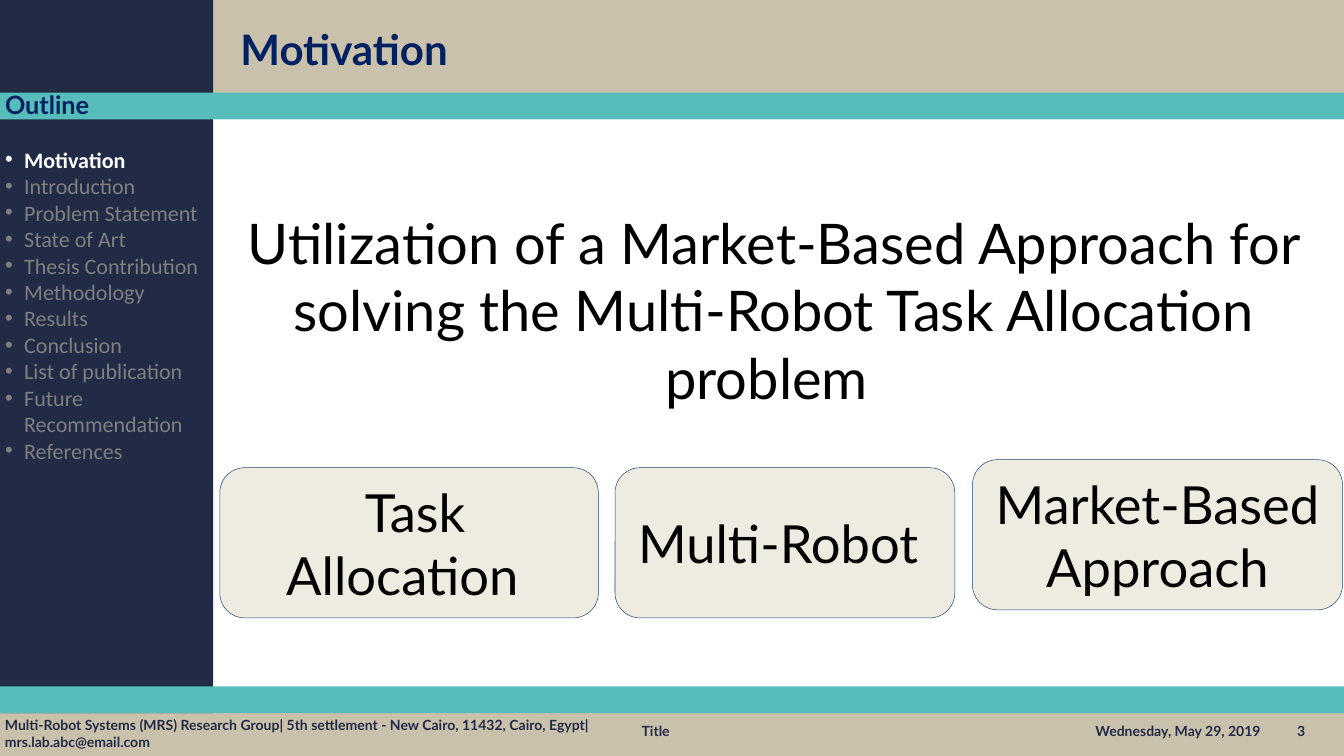
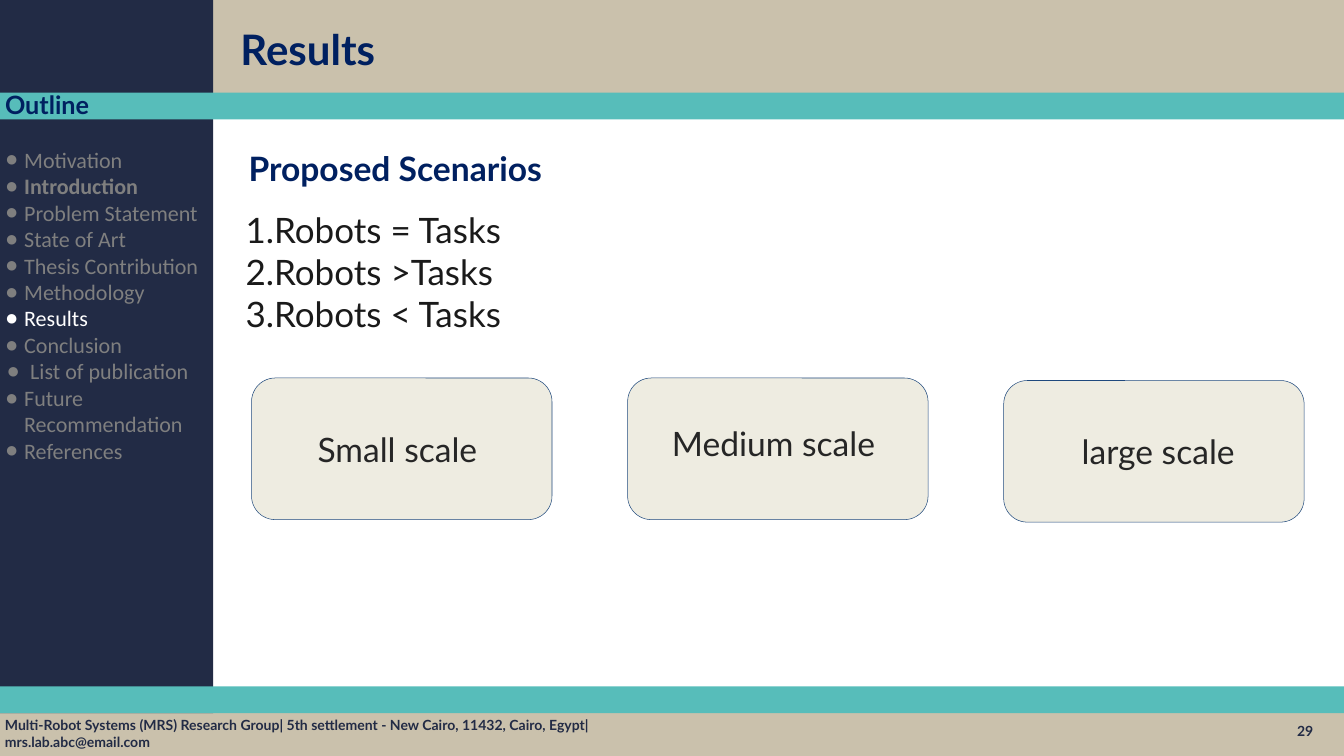
from lxml.etree import SubElement
from pptx import Presentation
from pptx.dml.color import RGBColor
from pptx.enum.shapes import MSO_SHAPE
from pptx.enum.text import MSO_ANCHOR, MSO_AUTO_SIZE, PP_ALIGN
from pptx.oxml.ns import qn
from pptx.util import Pt

W, H = 1919.52, 1080
SIDE_W = 304.56
FOOTER_Y = 1015.2
rgb = RGBColor.from_string
NAVY, SAND, TEAL, BLUE = "222B45", "CAC1AC", "57BDBA", "002060"
CARD, CARD_LINE, GREY, WHITE = "EEECE1", "1F497D", "7F7F7F", "FFFFFF"

TITLE = dict(size=60, color=BLUE, bold=True)
HEADING = dict(size=36, color=BLUE, bold=True)
SUBTITLE = dict(size=48, color=BLUE, bold=True)
FOOTER = dict(size=20, color=NAVY, bold=True)
OUTLINE = dict(size=31.5, color=GREY, bold=False, name="Calibri")

SECTIONS = ["Motivation", "Introduction", "Problem Statement", "State of Art",
            "Thesis Contribution", "Methodology", "Results", "Conclusion",
            "List of publication", "Future Recommendation", "References"]


def write(sp, lines, fmt, align=PP_ALIGN.LEFT, anchor=MSO_ANCHOR.MIDDLE,
          inset=3.6, before=0):
    """Fill a shape with one paragraph per line, all in the same format."""
    tf = sp.text_frame
    frame = dict(word_wrap=True, auto_size=MSO_AUTO_SIZE.NONE,
                 vertical_anchor=anchor, margin_left=Pt(7.2),
                 margin_right=Pt(7.2), margin_top=Pt(inset),
                 margin_bottom=Pt(inset))
    for key, value in frame.items():
        setattr(tf, key, value)
    for i, line in enumerate(lines):
        p = tf.paragraphs[0] if i == 0 else tf.add_paragraph()
        p.alignment, p.space_before = align, Pt(before)
        r = p.add_run()
        r.text = line
        for key, value in {"name": "Lato", **fmt}.items():
            if key == "color":
                r.font.color.rgb = rgb(value)
            else:
                setattr(r.font, key, Pt(value) if key == "size" else value)
    return tf.paragraphs


def set_bullet(p, mark, color, left, hang):
    """Use mark as the bullet, or numbers when mark is "1."."""
    pPr = p._p.get_or_add_pPr()
    pPr.set("marL", str(Pt(left)))
    pPr.set("indent", str(-Pt(hang)))
    SubElement(SubElement(pPr, qn("a:buClr")), qn("a:srgbClr"), val=color)
    if mark == "1.":
        SubElement(pPr, qn("a:buAutoNum"), type="arabicPeriod")
    else:
        SubElement(pPr, qn("a:buChar"), char=mark)


prs = Presentation()
prs.slide_width, prs.slide_height = Pt(W), Pt(H)
layout = prs.slide_layouts[4]

# Placeholder places shared by all slides: title, outline heading,
# outline list, subtitle, body
places = {0: (336.24, 18.72, 788.4, 102.24),
          1: (0, 131.76, 296.64, 33.84),
          2: (0, 205.2, 302.4, 753.84),
          3: (347.76, 205.2, 1515.6, 68.4),
          4: (343.44, 294.48, 1523.52, 665.28)}
for ph in layout.placeholders:
    idx = ph.placeholder_format.idx
    if idx in places:
        ph.left, ph.top, ph.width, ph.height = map(Pt, places[idx])

slides = [
    dict(title="Motivation", current="Motivation", bold="Motivation",
         mark="•", align=PP_ALIGN.JUSTIFY, publication=(27.36, 27.36),
         footers=[("Title", 909.36, 648), ("Wednesday, May 29, 2019", 1557.36, 288),
                  ("3", 1845.36, 72)],
         card_format=dict(size=75, color="000000"), card_height=214.56, before=0,
         cards=[(" Task Allocation ", 313.92, 668.16, 540.72),
                ("Multi-Robot ", 878.4, 668.16, 485.28),
                ("Market-Based Approach", 1388.88, 656.64, 528.48)]),
    dict(title="Results", current="Results", bold="Introduction",
         mark="●", align=PP_ALIGN.LEFT, publication=(36, 33.84),
         footers=[("29", 1845.36, 72)],
         card_format=dict(size=48, color="262626"), card_height=202.32, before=7.2,
         cards=[(text, 359.28 + 537.12 * i, y, 429.12) for i, (text, y) in
                enumerate([("Small scale ", 540), ("Medium scale ", 540),
                           (" large scale", 543.6)])]),
]

for item in slides:
    s = prs.slides.add_slide(layout)
    write(s.shapes.title, [item["title"]], TITLE)
    write(s.placeholders[1], ["Outline"], HEADING)
    entries = write(s.placeholders[2], SECTIONS, OUTLINE, item["align"], MSO_ANCHOR.TOP)
    for p, section in zip(entries, SECTIONS):
        left, hang = 27.36, 30.96
        if section == "List of publication":
            left, hang = item["publication"]
            p.alignment = PP_ALIGN.LEFT
        color = WHITE if section == item["current"] else GREY
        p.runs[0].font.color.rgb = rgb(color)
        p.runs[0].font.bold = section == item["bold"]
        set_bullet(p, item["mark"], color, left, hang)

    for text, x, w in item["footers"]:
        sp = s.shapes.add_textbox(Pt(x), Pt(FOOTER_Y), Pt(w), Pt(57.6))
        write(sp, [text], FOOTER)

    for text, x, y, w in item["cards"]:
        sp = s.shapes.add_shape(MSO_SHAPE.ROUNDED_RECTANGLE, Pt(x), Pt(y),
                                Pt(w), Pt(item["card_height"]))
        sp.shadow.inherit = False
        sp.fill.solid()
        sp.fill.fore_color.rgb = rgb(CARD)
        sp.line.color.rgb = rgb(CARD_LINE)
        sp.line.width = Pt(0.75)
        write(sp, [text], item["card_format"], PP_ALIGN.CENTER, inset=7.2,
              before=item["before"])
        if text == "Medium scale ":
            sp.text_frame.margin_bottom = Pt(25)

motivation, results = prs.slides

# Motivation: one centred statement, no subtitle
subtitle = motivation.placeholders[3]._element
subtitle.getparent().remove(subtitle)
statement = write(
    motivation.placeholders[4],
    ["Utilization of a Market-Based Approach for solving the "
     "Multi-Robot Task Allocation problem "],
    dict(size=80, color="000000"), PP_ALIGN.CENTER, MSO_ANCHOR.TOP)
pPr = statement[0]._p.get_or_add_pPr()
pPr.set("marL", "0")
pPr.set("indent", "0")
SubElement(pPr, qn("a:buNone"))

# Results: subtitle and numbered scenarios
write(results.placeholders[3], ["Proposed Scenarios"], SUBTITLE, before=8)
body = results.placeholders[4]
body.left, body.top, body.width, body.height = map(Pt, (343.44, 294.48, 1622.16, 202.32))
scenarios = write(body, ["Robots = Tasks", "Robots >Tasks", "Robots < Tasks"],
                  dict(size=50, color="1A1A1A"), anchor=MSO_ANCHOR.TOP)
for p in scenarios:
    set_bullet(p, "1.", "1A1A1A", 36, 43.2)

# Bands and address line: drawn once, then moved to the back of the layout
shared = []
for x, y, w, h, color in [(0, FOOTER_Y, W, 64.8, SAND),
                          (0, 0, W, 141.84, SAND),
                          (0, 0, SIDE_W, 1018.8, NAVY),
                          (0, 980.64, W, 38.16, TEAL),
                          (0, 132.48, W, 38.16, TEAL)]:
    sp = motivation.shapes.add_shape(MSO_SHAPE.RECTANGLE, Pt(x), Pt(y), Pt(w), Pt(h))
    sp.shadow.inherit = False
    sp.fill.solid()
    sp.fill.fore_color.rgb = rgb(color)
    sp.line.fill.background()
    shared.append(sp)
address = motivation.shapes.add_textbox(Pt(0), Pt(1018.8), Pt(909.36), Pt(57.6))
write(address, ["Multi-Robot Systems (MRS) Research Group| 5th settlement - New Cairo, "
                "11432, Cairo, Egypt| mrs.lab.abc@email.com"], FOOTER)
shared.append(address)
for i, sp in enumerate(shared):
    layout.shapes._spTree.insert(2 + i, sp._element)

prs.save("out.pptx")
